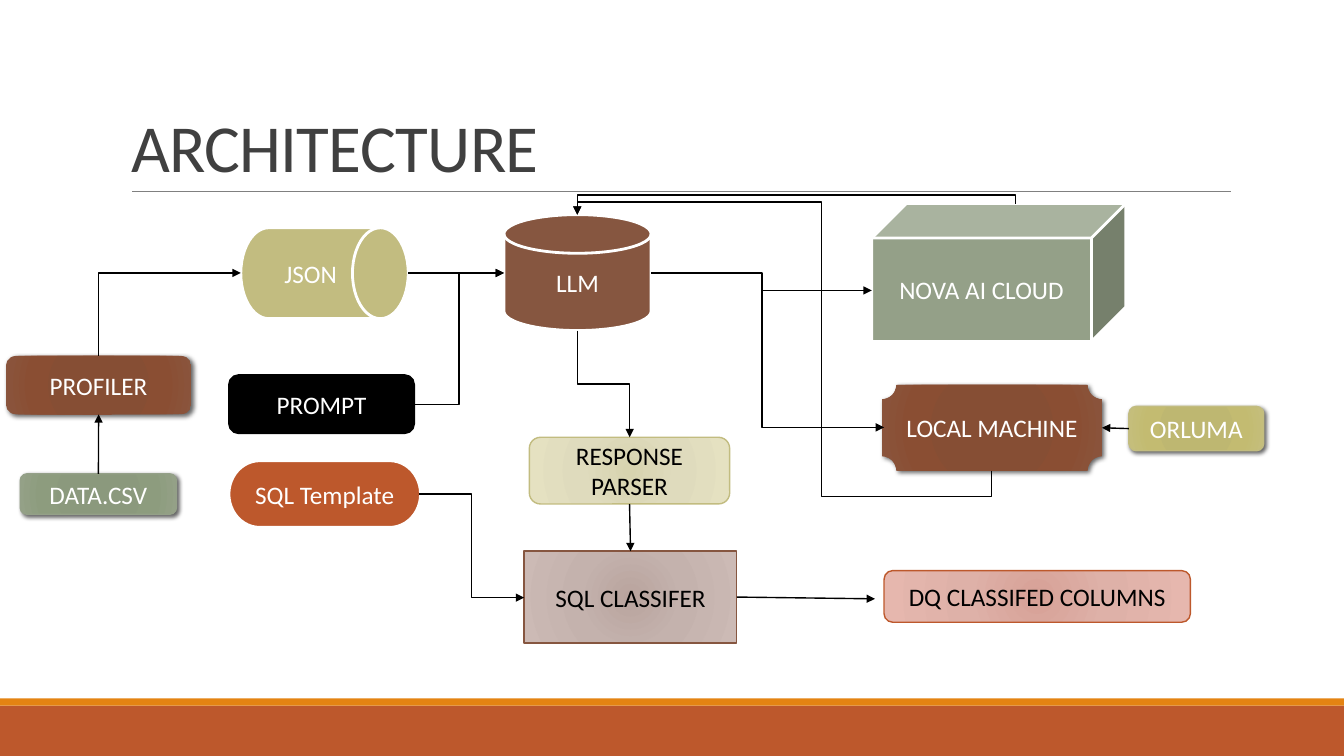
from dataclasses import dataclass

from lxml.etree import SubElement
from pptx import Presentation
from pptx.dml.color import RGBColor
from pptx.enum.shapes import MSO_CONNECTOR as Link, MSO_SHAPE as Kind
from pptx.enum.text import MSO_ANCHOR as Anchor, PP_ALIGN as Align
from pptx.oxml.ns import qn
from pptx.util import Cm, Pt


@dataclass(frozen=True)
class Theme:
    font: str = "Calibri"
    title_size: float = 48
    label_size: float = 18
    title: str = "404040"
    rule: str = "808080"
    black: str = "000000"
    white: str = "FFFFFF"
    rust: str = "BD582C"
    orange: str = "E48312"
    brown: str = "865640"
    sage: str = "94A088"
    sand: str = "C2BC80"
    # Radial gradients: (position in percent, colour)
    sage_glow: tuple = ((0, "8A987B"), (34, "8B997D"), (70, "8D9C7E"), (100, "94A187"))
    sand_glow: tuple = ((0, "BEB76E"), (34, "BEB771"), (70, "C3BB71"), (100, "C5BF7D"))
    brown_glow: tuple = ((0, "874C32"), (34, "864E34"), (70, "8A4E33"), (100, "8A553D"))
    brown_tint: tuple = ((0, "B9A49E"), (45, "C4B2AD"), (100, "CCBAB5"))
    rust_tint: tuple = ((0, "D7A197"), (45, "DEB1A8"), (100, "E6B7AE"))
    sand_tint: tuple = ((0, "D7D3AF"), (45, "DFDBBD"), (100, "E5E1C1"))


class Diagram:
    def __init__(self, slide, theme):
        self.slide, self.theme = slide, theme

    def add_text(self, frame, text, size, color, align, anchor):
        frame.word_wrap = True
        frame.vertical_anchor = anchor
        paragraph = frame.paragraphs[0]
        paragraph.alignment = align
        run = paragraph.add_run()
        run.text = text
        run.font.name, run.font.size = self.theme.font, Pt(size)
        run.font.color.rgb = RGBColor.from_string(color)
        return paragraph, run

    def heading(self, text, box):
        title = self.slide.shapes.title
        title.left, title.top, title.width, title.height = map(Cm, box)
        paragraph, run = self.add_text(title.text_frame, text, self.theme.title_size,
                                       self.theme.title, Align.LEFT, Anchor.BOTTOM)
        paragraph.line_spacing = 0.85
        run.font._element.set("spc", "-50")

    def block(self, kind, box, fill, line=None, width=1, text="", color=None, blur=0):
        shape = self.slide.shapes.add_shape(kind, *map(Cm, box))
        shape.shadow.inherit = False
        if isinstance(fill, str):
            shape.fill.solid()
            shape.fill.fore_color.rgb = RGBColor.from_string(fill)
        else:
            self.glow(shape, fill)
        if line:
            shape.line.color.rgb = RGBColor.from_string(line)
            shape.line.width = Pt(width)
        else:
            shape.line.fill.background()
        if blur:
            self.cast_shadow(shape, blur)
        if text:
            self.add_text(shape.text_frame, text, self.theme.label_size,
                          color or self.theme.white, Align.CENTER, Anchor.MIDDLE)
        return shape

    def glow(self, shape, stops):
        shape.fill.gradient()
        gradient = shape._element.spPr.find(qn("a:gradFill"))
        for child in list(gradient):
            gradient.remove(child)
        stop_list = SubElement(gradient, qn("a:gsLst"))
        for position, color in stops:
            stop = SubElement(stop_list, qn("a:gs"), pos=str(position * 1000))
            SubElement(stop, qn("a:srgbClr"), val=color)
        center = SubElement(gradient, qn("a:path"), {"path": "circle"})
        SubElement(center, qn("a:fillToRect"), {side: "100000" for side in "ltrb"})

    def cast_shadow(self, shape, blur):
        effects = shape._element.spPr.find(qn("a:effectLst"))
        shadow = SubElement(effects, qn("a:outerShdw"), blurRad=str(Pt(blur)),
                            dist=str(Pt(2)), dir=str(45 * 60000), rotWithShape="0")
        color = SubElement(shadow, qn("a:srgbClr"), val=self.theme.black)
        SubElement(color, qn("a:alpha"), val="60000")

    def line(self, start, end, color=None, width=1, arrow=True, kind=Link.STRAIGHT):
        link = self.slide.shapes.add_connector(kind, *map(Cm, (*start, *end)))
        link.line.color.rgb = RGBColor.from_string(color or self.theme.black)
        link.line.width = Pt(width)
        if arrow:
            SubElement(link._element.spPr.find(qn("a:ln")), qn("a:tailEnd"), type="triangle")
        SubElement(link._element.spPr, qn("a:effectLst"))
        return link

    def join(self, link, source=None, target=None):
        """Glue the ends to (shape, site); sites above 3 exist on some shapes."""
        ends = link._element.nvCxnSpPr.cNvCxnSpPr
        if source:
            link.begin_connect(source[0], 0)
            ends.stCxn.idx = source[1]
        if target:
            link.end_connect(target[0], 0)
            ends.endCxn.idx = target[1]

    def elbow(self, start, end, source=None, target=None, turn=0, flip="",
              bends=(0.5,), preset="bentConnector3"):
        link = self.line(start, end, kind=Link.ELBOW)
        self.join(link, source, target)
        # The frame is centred between the ends; a quarter turn swaps its sides
        (x1, y1), (x2, y2) = start, end
        width, height = abs(x2 - x1), abs(y2 - y1)
        if turn:
            width, height = height, width
        link.left, link.top = Cm((x1 + x2 - width) / 2), Cm((y1 + y2 - height) / 2)
        link.width, link.height, link.rotation = Cm(width), Cm(height), turn
        frame = link._element.spPr.find(qn("a:xfrm"))
        for axis in "hv":
            frame.set("flip" + axis.upper(), str(int(axis in flip)))
        geometry = link._element.spPr.find(qn("a:prstGeom"))
        geometry.set("prst", preset)
        for number, bend in enumerate(bends, 1):
            SubElement(geometry.find(qn("a:avLst")), qn("a:gd"), name=f"adj{number}",
                       fmla=f"val {round(bend * 100000)}")


def main():
    deck = Presentation()
    deck.slide_width, deck.slide_height = Cm(33.87), Cm(19.05)
    theme = Theme()
    diagram = Diagram(deck.slides.add_slide(deck.slide_layouts[5]), theme)
    block, line, elbow, join = diagram.block, diagram.line, diagram.elbow, diagram.join

    # Footer bands, title and rule
    block(Kind.RECTANGLE, (0, 17.78, 33.87, 1.27), theme.rust)
    block(Kind.RECTANGLE, (0, 17.6, 33.87, 0.18), theme.orange)
    line((3.33, 4.83), (31.01, 4.83), theme.rule, 0.5, arrow=False)
    diagram.heading("ARCHITECTURE", (3.05, 0.79, 27.94, 4.04))

    # Inputs
    rounded = Kind.ROUNDED_RECTANGLE
    data = block(rounded, (0.51, 11.94, 3.94, 1.02), theme.sage_glow, theme.sage,
                 text="DATA.CSV", blur=3)
    profiler = block(rounded, (0.15, 8.97, 4.67, 1.47), theme.brown_glow,
                     text="PROFILER", blur=3.5)
    json_store = block(Kind.FLOWCHART_DIRECT_ACCESS_STORAGE, (6.07, 5.74, 4.22, 2.29),
                       theme.sand, theme.white, 2, "JSON")
    prompt = block(rounded, (5.77, 9.45, 4.67, 1.47), theme.black, theme.black, 1.25, "PROMPT")
    template = block(Kind.FLOWCHART_TERMINATOR, (5.77, 11.61, 4.83, 1.68),
                     theme.rust, theme.white, 2, "SQL Template")

    # Model and its hosts
    llm = block(Kind.FLOWCHART_MAGNETIC_DISK, (12.7, 5.41, 3.71, 2.92),
                theme.brown, theme.white, 2, "LLM")
    cloud = block(Kind.CUBE, (21.97, 5.13, 6.4, 3.48), theme.sage, theme.white, 2,
                  "NOVA AI CLOUD")
    local = block(Kind.PLAQUE, (22.23, 9.7, 5.54, 2.16), theme.brown_glow,
                  text="LOCAL MACHINE", blur=3.5)
    runner = block(rounded, (28.45, 10.24, 3.4, 1.12), theme.sand_glow, theme.sand,
                   text="ORLUMA", blur=3)

    # Results
    parser = block(rounded, (13.34, 11.02, 5.05, 1.68), theme.sand_tint, theme.sand,
                   text="RESPONSE PARSER", color=theme.black)
    classifier = block(Kind.RECTANGLE, (13.21, 13.89, 5.36, 2.31), theme.brown_tint,
                       theme.brown, text="SQL CLASSIFER", color=theme.black)
    block(rounded, (22.28, 14.38, 7.72, 1.3), theme.rust_tint, theme.rust,
          text="DQ CLASSIFED COLUMNS", color=theme.black)

    # Straight arrows
    for source, leave, target, enter in ((data, 0, profiler, 2), (runner, 1, local, 3),
                                         (parser, 2, classifier, 0)):
        arrow = line((0, 0), (0, 0))
        arrow.begin_connect(source, leave)
        arrow.end_connect(target, enter)
    to_columns = line((18.57, 15.06), (22.05, 15.09))
    to_columns.begin_connect(classifier, 3)
    llm_left, llm_top, llm_right = (12.7, 6.88), (14.55, 5.41), (16.41, 6.88)
    json_to_llm = line((10.29, 6.88), llm_left)
    join(json_to_llm, (json_store, 4), (llm, 2))
    json_to_llm.left, json_to_llm.top = Cm(10.29), Cm(6.88)
    json_to_llm.width, json_to_llm.height = Cm(2.41), Cm(0)

    # Bent arrows
    elbow((2.49, 8.97), (6.07, 6.88), (profiler, 0), (json_store, 1), 90, "hv",
          (), "bentConnector2")
    elbow((10.44, 10.19), llm_left, (prompt, 3), (llm, 2), flip="v")
    elbow((10.57, 12.45), (13.21, 15.06), (template, 3), (classifier, 1))
    elbow(llm_right, (21.97, 7.32), (llm, 4), (cloud, 2))
    elbow((16.48, 6.88), (22.28, 10.77), bends=(0.47,))
    elbow((14.55, 8.33), (15.87, 11.02), (llm, 3), (parser, 0), 270, "h")
    elbow((25.6, 5.13), llm_top, (cloud, 0), (llm, 1), 270, "hv", (-0.77,))
    elbow((24.99, 11.86), llm_top, (local, 2), (llm, 1), 90, "h",
          (-0.1, 0.41, 1.05), "bentConnector5")

    deck.save("out.pptx")


if __name__ == "__main__":
    main()
